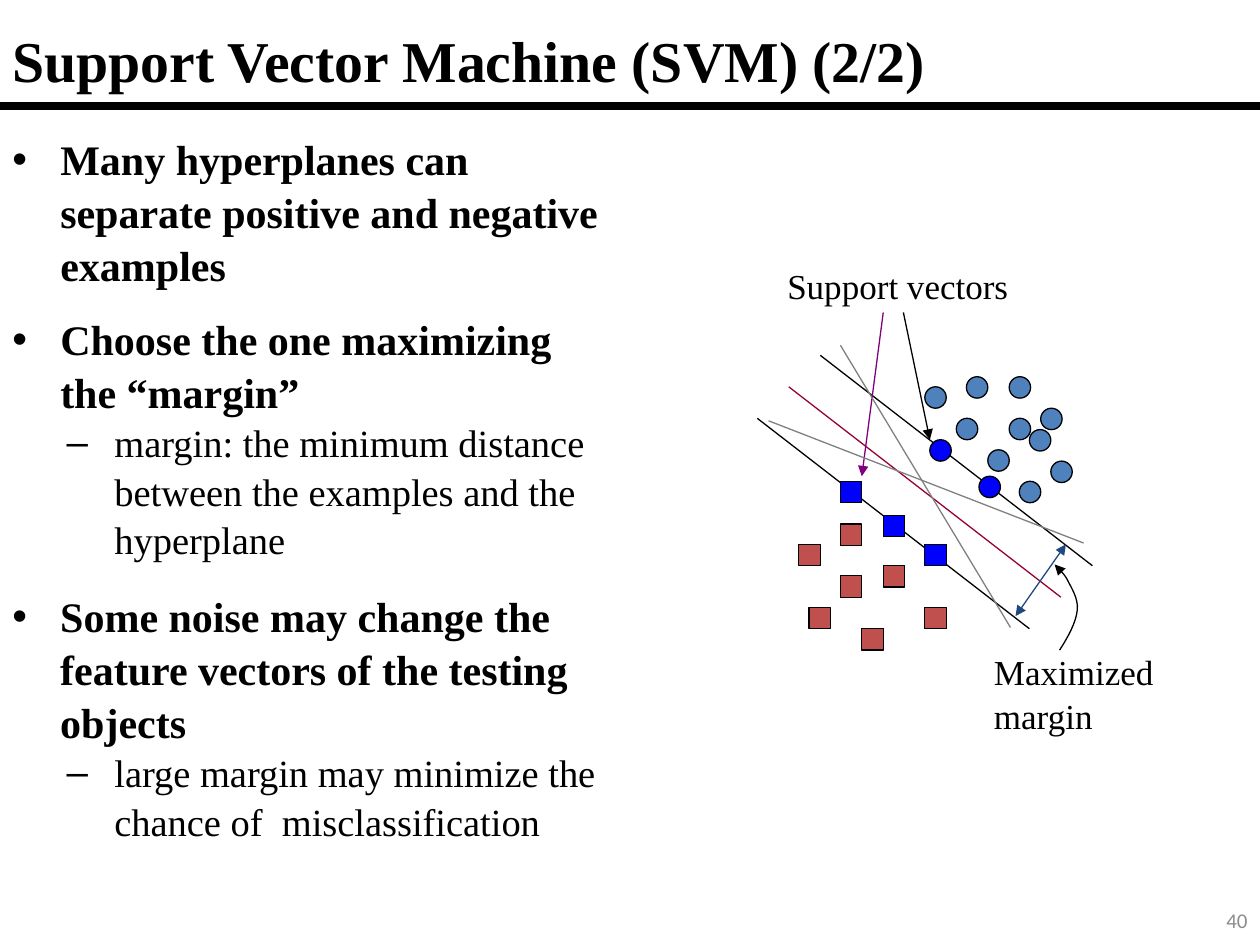
"""Build the slide on support vector machines and the maximized margin."""
from lxml.etree import SubElement
from pptx import Presentation
from pptx.dml.color import RGBColor
from pptx.enum.shapes import MSO_CONNECTOR, MSO_SHAPE
from pptx.enum.text import MSO_ANCHOR, PP_ALIGN
from pptx.oxml.ns import qn
from pptx.util import Inches, Pt

COLORS = {
    "black": "000000", "gray": "808080", "number": "8C8C8C", "circle": "4F81BD",
    "square": "C0504D", "support": "0000FF", "plane": "990033",
    "purple": "800080", "navy": "1F497D",
}
SERIF = "Times New Roman"
MARKER_SIZE = 0.17

deck = Presentation()
deck.slide_width, deck.slide_height = Inches(10), Inches(7.5)
page = deck.slides.add_slide(deck.slide_layouts[6])


def add_text(area, lines, size, font=SERIF, color="black", bold=False, wrap=True,
             anchor=MSO_ANCHOR.TOP, align=PP_ALIGN.LEFT, spacing=1.0, bulleted=False):
    """Add a text box; in a bulleted one the first line is the main point."""
    box = page.shapes.add_textbox(*[Inches(value) for value in area])
    frame = box.text_frame
    frame.text = "\n".join(lines)
    frame.word_wrap = wrap
    frame.vertical_anchor = anchor
    for level, para in enumerate(frame.paragraphs):
        para.alignment = align
        para.line_spacing = spacing
        if bulleted:
            properties = para._p.get_or_add_pPr()
            properties.set("marL", str(Inches(0.81 if level else 0.38)))
            properties.set("indent", str(Inches(-0.38)))
            SubElement(properties, qn("a:buFont"), typeface="Arial")
            SubElement(properties, qn("a:buChar"), char="–" if level else "•")
        for span in para.runs:
            span.font.name = font
            span.font.size = Pt(size - 2 if bulleted and level else size)
            span.font.bold = bold and not level
            span.font.color.rgb = RGBColor.from_string(COLORS[color])


def style_line(shape, color, width=0.75, ends=()):
    """Set the stroke of a shape and put arrowheads on the named ends."""
    shape.line.color.rgb = RGBColor.from_string(COLORS[color])
    shape.line.width = Pt(width)
    for end in ends:
        SubElement(shape.line._get_or_add_ln(), qn(f"a:{end}"), type="triangle")


add_text((0, 0.08, 9.99, 0.79), ["Support Vector Machine (SVM) (2/2)"], 33,
         bold=True, anchor=MSO_ANCHOR.MIDDLE)

lines = [
    ((0, 0.84), (10, 0.84), "black", 4.5, ()),
    ((6.26, 3.07), (8.42, 4.74), "plane", 0.75, ()),
    ((6.51, 2.82), (8.67, 4.49), "black", 0.75, ()),
    ((6.01, 3.32), (8.17, 4.99), "black", 0.75, ()),
    ((7.01, 2.48), (6.84, 3.78), "purple", 0.75, ("tailEnd",)),
    ((7.17, 2.48), (7.38, 3.49), "black", 0.75, ("tailEnd",)),
    ((8.06, 4.89), (8.46, 4.32), "navy", 0.75, ("headEnd", "tailEnd")),
    ((6.67, 2.74), (8.02, 4.98), "gray", 0.75, ()),
    ((6.1, 3.34), (8.6, 4.31), "gray", 0.75, ()),
]
for start, finish, color, width, ends in lines:
    connector = page.shapes.add_connector(
        MSO_CONNECTOR.STRAIGHT, *[Inches(value) for value in start + finish])
    style_line(connector, color, width, ends)
    SubElement(connector._element.spPr, qn("a:effectLst"))

markers = [
    (MSO_SHAPE.OVAL, "circle", [
        (7.67, 2.99), (8.01, 3.32), (7.84, 3.57), (8.34, 3.66), (8.09, 3.82),
        (8.01, 2.99), (7.34, 3.07), (8.17, 3.41), (8.26, 3.24), (7.59, 3.32)]),
    (MSO_SHAPE.RECTANGLE, "square", [
        (6.67, 4.16), (6.84, 4.99), (7.01, 4.49), (7.34, 4.82), (6.34, 4.32),
        (6.67, 4.57), (6.42, 4.82)]),
    (MSO_SHAPE.OVAL, "support", [(7.38, 3.49), (7.77, 3.78)]),
    (MSO_SHAPE.RECTANGLE, "support", [(7.01, 4.09), (7.34, 4.32), (6.67, 3.82)]),
]
for preset, color, places in markers:
    for left, top in places:
        marker = page.shapes.add_shape(preset, Inches(left), Inches(top),
                                       Inches(MARKER_SIZE), Inches(MARKER_SIZE))
        marker.shadow.inherit = False
        marker.fill.solid()
        marker.fill.fore_color.rgb = RGBColor.from_string(COLORS[color])
        style_line(marker, "black")

curve_start = (8.41, 5.16)
curves = [
    ((8.48, 5.05), (8.54, 4.94), (8.55, 4.84)),
    ((8.56, 4.75), (8.5, 4.66), (8.47, 4.6)),
    ((8.44, 4.54), (8.38, 4.5), (8.37, 4.48)),
]
steps = 8
points = []
origin = curve_start
for first, second, target in curves:
    for step in range(1, steps + 1):
        t = step / steps
        points.append([
            Inches((1 - t) ** 3 * a + 3 * (1 - t) ** 2 * t * b + 3 * (1 - t) * t ** 2 * c + t ** 3 * d)
            for a, b, c, d in zip(origin, first, second, target)])
    origin = target
builder = page.shapes.build_freeform(*[Inches(value) for value in curve_start])
builder.add_line_segments(points, close=False)
margin_arrow = builder.convert_to_shape()
margin_arrow.shadow.inherit = False
margin_arrow.fill.background()
style_line(margin_arrow, "black", ends=("tailEnd",))

add_text((6.15, 2.03, 1.97, 0.44), ["Support vectors"], 20, wrap=False, spacing=1.05)
add_text((7.79, 5.1, 1.48, 0.77), ["Maximized", "margin"], 20, wrap=False, spacing=1.05)

points_of_talk = [
    ((0, 0.99, 4.92, 1.31),
     ["Many hyperplanes can separate positive and negative examples"]),
    ((0, 2.42, 4.92, 2.02),
     ["Choose the one maximizing the “margin”",
      "margin: the minimum distance between the examples and the hyperplane"]),
    ((0, 4.62, 4.87, 2.05),
     ["Some noise may change the feature vectors of the testing objects",
      "large margin may minimize the chance of  misclassification"]),
]
for area, texts in points_of_talk:
    add_text(area, texts, 24, bold=True, spacing=1.05, bulleted=True)

add_text((7.75, 7.1, 2.25, 0.4), ["40"], 12, font="Calibri", color="number",
         anchor=MSO_ANCHOR.MIDDLE, align=PP_ALIGN.RIGHT)

deck.save("out.pptx")
